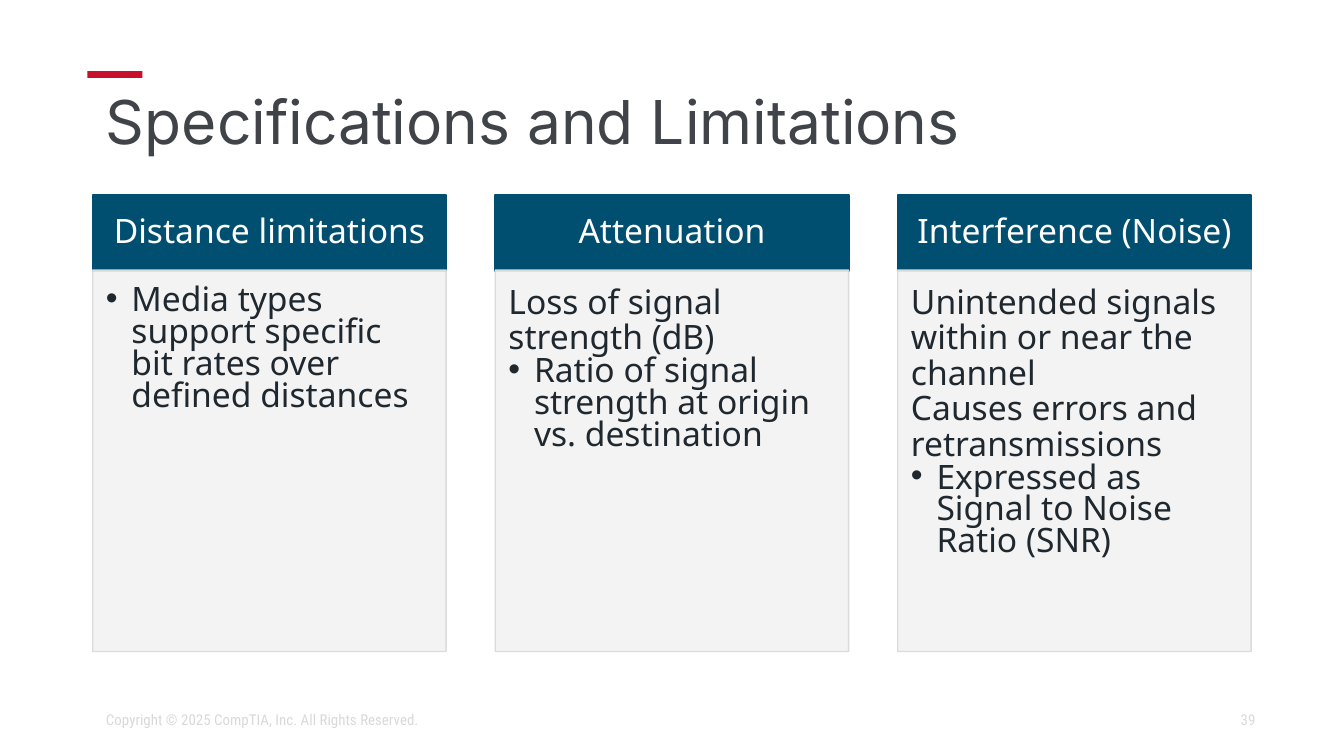
from dataclasses import dataclass

from lxml import etree
from pptx import Presentation, util as u
from pptx.dml.color import RGBColor
from pptx.enum import shapes, text
from pptx.oxml.ns import qn

SLIDE_WIDTH, SLIDE_HEIGHT = 10, 5.62
COLOURS = {
    "accent": "C8102E", "title": "404448", "header": "004F71",
    "header_line": "004F70", "white": "FFFFFF", "panel": "F2F2F2",
    "panel_line": "D9D9D9", "body": "20282F", "footer": "D9D9D9",
}

# Three equal columns span the content width
LEFT, CONTENT_WIDTH, COLUMN_WIDTH = 0.69, 8.62, 2.63
HEADER_TOP, HEADER_HEIGHT = 1.45, 0.57
PANEL_TOP, PANEL_HEIGHT = 2.01, 2.84
FOOTER_TOP, FOOTER_HEIGHT = 5.21, 0.3
BULLET_INDENT = 0.19


@dataclass
class Box:
    left: float
    top: float
    width: float
    height: float

    def lengths(self) -> list:
        return [u.Inches(n) for n in (self.left, self.top, self.width, self.height)]


@dataclass
class Style:
    font: str
    size: float
    colour: str
    align: text.PP_ALIGN = text.PP_ALIGN.LEFT
    anchor: text.MSO_ANCHOR = text.MSO_ANCHOR.MIDDLE
    spacing: float = 1.0
    insets: tuple = (0.1, 0.05, 0.1, 0.05)


@dataclass
class Topic:
    heading: str
    statements: list
    bullet: str


TITLE = Style("Inter", 32.4, "title", anchor=text.MSO_ANCHOR.TOP, spacing=0.9)
HEADING = Style("Noto Sans", 18, "white", text.PP_ALIGN.CENTER, spacing=0.9,
                insets=(0.1, 0.08, 0.1, 0.08))
BODY = Style("Noto Sans", 18, "body", anchor=text.MSO_ANCHOR.TOP, spacing=0.88,
             insets=(0.1, 0.12, 0.14, 0.16))
BULLET_SPACING = 0.79
FOOTER = Style("Roboto Condensed", 8, "footer")
PAGE_NUMBER = Style("Roboto Condensed", 8, "footer", text.PP_ALIGN.RIGHT)

TOPICS = [
    Topic("Distance limitations", [],
          "Media types support specific bit rates over defined distances"),
    Topic("Attenuation", ["Loss of signal strength (dB)"],
          "Ratio of signal strength at origin vs. destination"),
    Topic("Interference (Noise)",
          ["Unintended signals within or near the channel",
           "Causes errors and retransmissions"],
          "Expressed as Signal to Noise Ratio (SNR)"),
]


def rgb(name: str) -> RGBColor:
    return RGBColor.from_string(COLOURS[name])


def set_values(target, values: dict) -> None:
    for name, value in values.items():
        setattr(target, name, value)


def write(shape, lines: list, style: Style) -> None:
    frame = shape.text_frame
    sides = ("margin_left", "margin_top", "margin_right", "margin_bottom")
    set_values(frame, dict(zip(sides, map(u.Inches, style.insets))))
    set_values(frame, {"word_wrap": True, "vertical_anchor": style.anchor})
    for index, line in enumerate(lines):
        paragraph = frame.paragraphs[0] if index == 0 else frame.add_paragraph()
        set_values(paragraph, {"text": line, "alignment": style.align,
                               "line_spacing": style.spacing})
        font = paragraph.runs[0].font
        set_values(font, {"name": style.font, "size": u.Pt(style.size)})
        font.color.rgb = rgb(style.colour)


def add_bullet(paragraph) -> None:
    paragraph.line_spacing = BULLET_SPACING
    properties = paragraph._p.get_or_add_pPr()
    indent = u.Inches(BULLET_INDENT)
    properties.set("marL", str(indent))
    properties.set("indent", str(-indent))
    etree.SubElement(properties, qn("a:buFont")).set("typeface", "Arial")
    etree.SubElement(properties, qn("a:buChar")).set("char", "•")


def add_rectangle(slide, box: Box, fill: str, line: str = "", line_width: float = 1,
                  opacity: int = 100):
    shape = slide.shapes.add_shape(shapes.MSO_SHAPE.RECTANGLE, *box.lengths())
    shape.shadow.inherit = False
    shape.fill.solid()
    shape.fill.fore_color.rgb = rgb(fill)
    if line:
        shape.line.color.rgb = rgb(line)
        shape.line.width = u.Pt(line_width)
    else:
        shape.line.fill.background()
    if opacity < 100:
        for colour in shape._element.spPr.iter(qn("a:srgbClr")):
            etree.SubElement(colour, qn("a:alpha")).set("val", str(opacity * 1000))
    return shape


def add_text(slide, box: Box, line: str, style: Style) -> None:
    write(slide.shapes.add_textbox(*box.lengths()), [line], style)


def add_topic(slide, topic: Topic, left: float) -> None:
    header = add_rectangle(slide, Box(left, HEADER_TOP, COLUMN_WIDTH, HEADER_HEIGHT),
                           "header", "header_line")
    write(header, [topic.heading], HEADING)
    panel = add_rectangle(slide, Box(left, PANEL_TOP, COLUMN_WIDTH, PANEL_HEIGHT),
                          "panel", "panel_line", 0.75, opacity=90)
    write(panel, [*topic.statements, topic.bullet], BODY)
    add_bullet(panel.text_frame.paragraphs[-1])


def main() -> None:
    presentation = Presentation()
    set_values(presentation, {"slide_width": u.Inches(SLIDE_WIDTH),
                              "slide_height": u.Inches(SLIDE_HEIGHT)})
    slide = presentation.slides.add_slide(presentation.slide_layouts[6])

    add_rectangle(slide, Box(0.65, 0.53, 0.41, 0.05), "accent")
    add_text(slide, Box(LEFT, 0.64, CONTENT_WIDTH, 0.63),
             "Specifications and Limitations", TITLE)

    pitch = (CONTENT_WIDTH - COLUMN_WIDTH) / (len(TOPICS) - 1)
    for column, topic in enumerate(TOPICS):
        add_topic(slide, topic, LEFT + column * pitch)

    add_text(slide, Box(7.06, FOOTER_TOP, 2.38, FOOTER_HEIGHT), "39", PAGE_NUMBER)
    add_text(slide, Box(LEFT, FOOTER_TOP, 4.31, FOOTER_HEIGHT),
             "Copyright © 2025 CompTIA, Inc. All Rights Reserved.", FOOTER)
    presentation.save("out.pptx")


if __name__ == "__main__":
    main()
